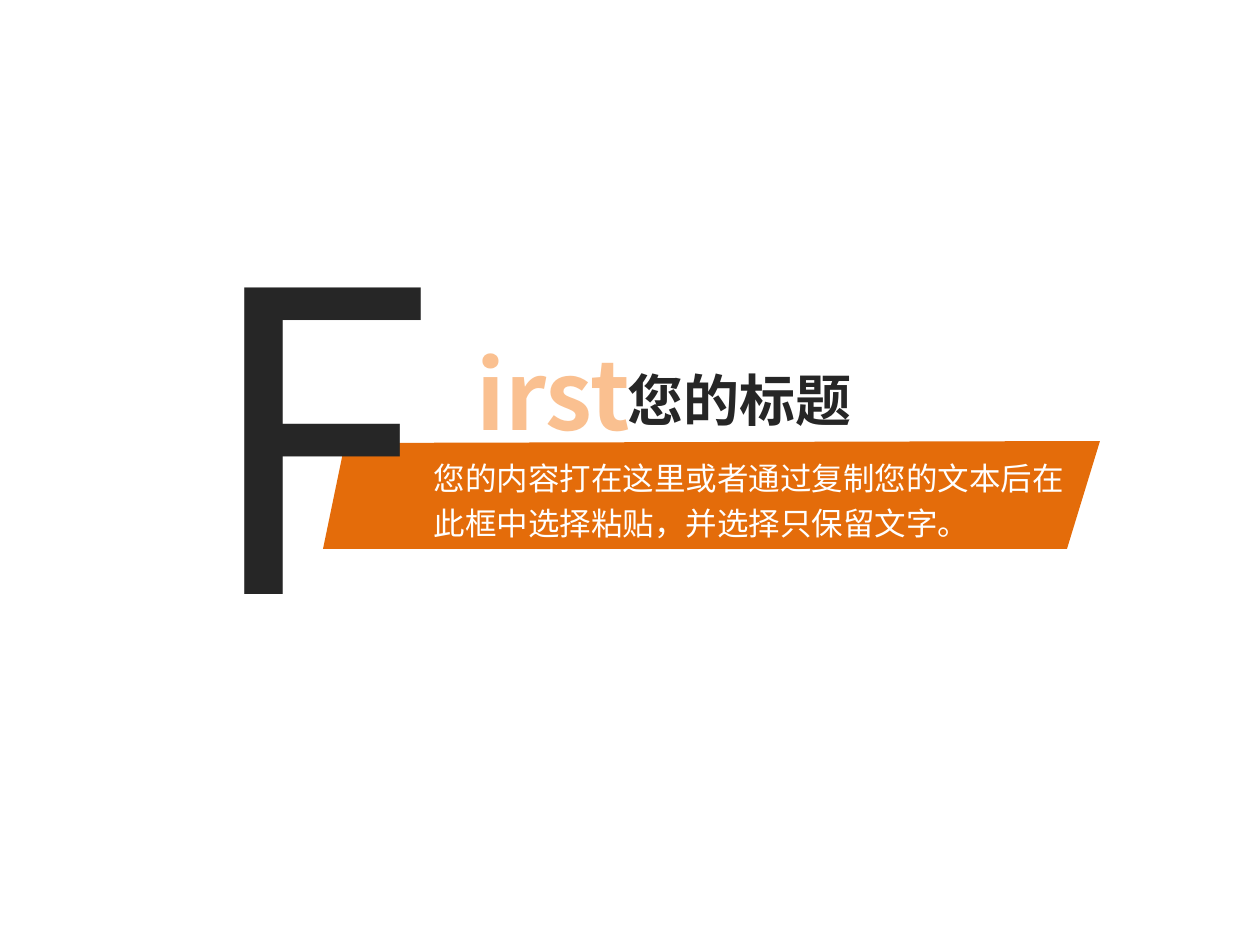
from lxml.etree import SubElement
from pptx import Presentation
from pptx.dml.color import RGBColor
from pptx.enum.text import MSO_ANCHOR as Anchor, MSO_AUTO_SIZE as AutoSize, PP_ALIGN as Align
from pptx.oxml.ns import qn
from pptx.util import Inches, Pt

SCALE = Inches(1) / 126
FONT = "Noto Sans CJK SC"
ORANGE, PEACH, DARK, WHITE = "E46C0A", "FAC090", "262626", "FFFFFF"


def px(value):
    return round(value * SCALE)


def color(value):
    return RGBColor.from_string(value)


def place(shape, left, top, width, height):
    shape.left, shape.top = px(left), px(top)
    shape.width, shape.height = px(width), px(height)


def write(shape, text, size, hue, bold=False, spacing=1.0):
    frame = shape.text_frame
    frame.text = text
    frame.word_wrap = True
    frame.auto_size = AutoSize.NONE
    frame.vertical_anchor = Anchor.TOP
    para = frame.paragraphs[0]
    para.alignment = Align.LEFT
    para.space_before = Pt(0)
    para.line_spacing = spacing
    span = para.runs[0]
    span.font.size, span.font.bold = Pt(size), bold
    span.font.name = FONT
    span.font.color.rgb = color(hue)
    SubElement(span._r.get_or_add_rPr(), qn("a:ea")).set("typeface", FONT)


def remove_bullet(para):
    properties = para._p.get_or_add_pPr()
    properties.set("marL", "0")
    properties.set("indent", "0")
    SubElement(properties, qn("a:buNone"))


def add_label(page, box, text, size, hue, bold=False):
    label = page.shapes.add_textbox(*map(px, box))
    write(label, text, size, hue, bold)


def add_band(page, left, top, width, height):
    right, bottom = left + width, top + height
    builder = page.shapes.build_freeform(px(left + 22), px(top + 2), scale=1.0)
    corners = [(right, top), (right - 33, bottom), (left, bottom)]
    builder.add_line_segments([(px(x), px(y)) for x, y in corners], close=True)
    band = builder.convert_to_shape()
    band.shadow.inherit = False
    band.fill.solid()
    band.fill.fore_color.rgb = color(ORANGE)
    band.line.fill.background()


def add_heading(page, left, top):
    title, body = page.placeholders
    add_label(page, (left + 274, top + 160, 273, 127), "irst", 54, PEACH, True)
    add_band(page, left + 133, top + 271, 777, 108)
    add_label(page, (left, top, 290, 519), "F", 239, DARK)

    place(title, left + 425, top + 189, 407, 81)
    write(title, "您的标题", 32, DARK, True)

    place(body, left + 231, top + 275, 668, 105)
    write(body, "您的内容打在这里或者通过复制您的文本后在此框中选择粘贴，并选择只保留文字。",
          18, WHITE, spacing=1.2)
    remove_bullet(body.text_frame.paragraphs[0])

    for shape in (title, body):
        page.shapes._spTree.append(shape._element)


def main():
    deck = Presentation()
    deck.slide_width, deck.slide_height = Inches(10), Inches(7.5)
    page = deck.slides.add_slide(deck.slide_layouts[1])
    add_heading(page, 190, 170)
    deck.save("out.pptx")


if __name__ == "__main__":
    main()
